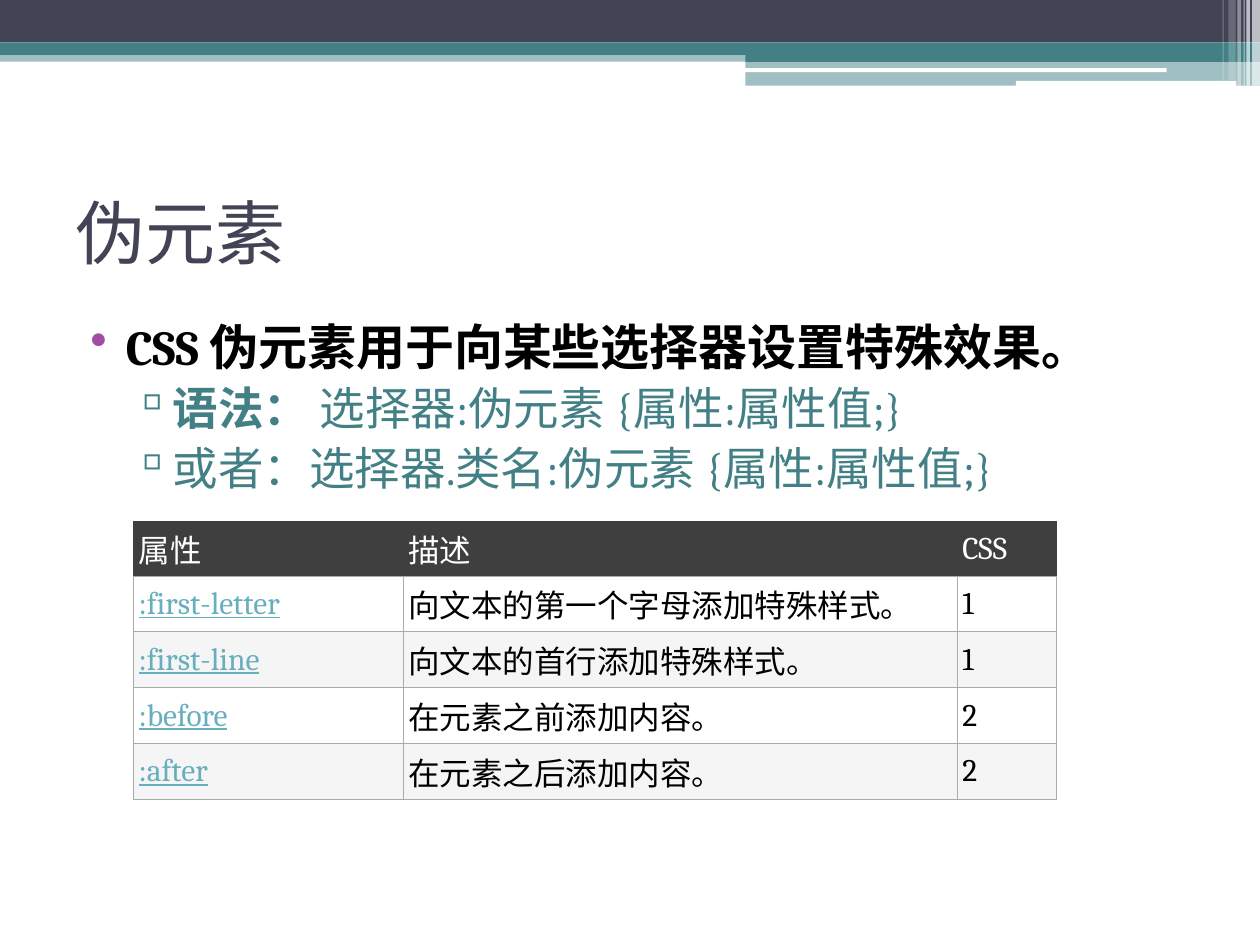
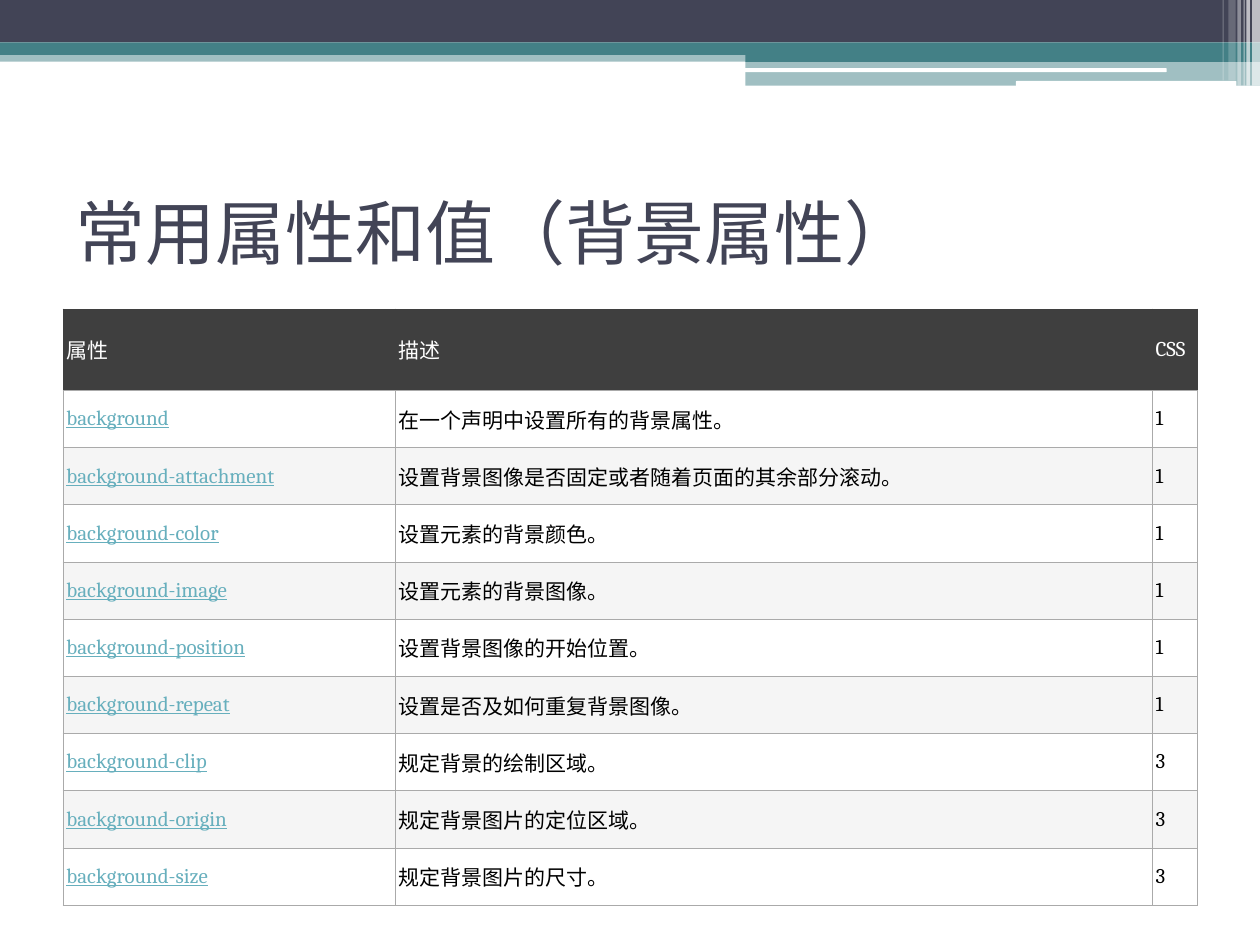
from lxml import etree
from pptx import Presentation
from pptx import util as u
from pptx.dml.color import RGBColor
from pptx.enum import shapes, text
from pptx.oxml.ns import qn

COLORS = {
    "ink": "424456", "teal": "438086", "white": "FFFFFF", "black": "000000",
    "bullet": "A04DA3", "link": "67AFBD", "header": "3F3F3F",
    "stripe": "F5F5F5", "border": "AAAAAA",
}
TITLE_FONT, BODY_FONT = "Open Sans", "Cambria"
TITLE_BOX = (36, 90, 648, 84.2)

# left, top, width, height, colour, opacity in percent
BANDS = [
    (0, 28.8, 720, 6.5, "teal", 50),
    (0, 0, 720, 24.2, "ink", 100),
    (0, 24.2, 720, 7.2, "teal", 100),
    (426, 28.2, 294, 7.2, "teal", 100),
    (426, 35.2, 294, 13.7, "teal", 50),
]
ROUNDED_LINES = [
    (425.5, 39, 241.2, 2.2, "white", 100),
    (580.5, 46.3, 126, 2.9, "white", 100),
]
# left, width, height, opacity of the vertical stripes in the corner
CORNER_STRIPES = [
    (715.5, 4.5, 49, 65), (712.2, 2.0, 49, 65), (710.6, 0.7, 49, 60),
    (707.1, 2.0, 49, 40), (701.9, 4.3, 46, 20), (698.6, 0.7, 46, 30),
]


class Deck:
    """Holds the shared style and the slide being built."""

    def __init__(self):
        """Start an empty 10 by 7.5 inch presentation."""
        self.presentation = Presentation()
        self.presentation.slide_width = u.Pt(720)
        self.presentation.slide_height = u.Pt(540)
        self.slide = None

    def color(self, name):
        """Return a named colour."""
        return RGBColor.from_string(COLORS[name])

    def format_run(self, run, size, color, font=BODY_FONT, bold=False, underline=False):
        """Set the font of one run."""
        run.font.name = font
        run.font.size = u.Pt(size)
        run.font.bold = bold
        run.font.underline = underline
        run.font.color.rgb = self.color(color)

    def add_slide(self, title):
        """Add a slide with the title and the bands at its top."""
        self.slide = self.presentation.slides.add_slide(self.presentation.slide_layouts[5])
        shape = self.slide.shapes.title
        shape.left, shape.top, shape.width, shape.height = map(u.Pt, TITLE_BOX)
        frame = shape.text_frame
        frame.text = title
        frame.vertical_anchor = text.MSO_ANCHOR.MIDDLE
        frame.paragraphs[0].alignment = text.PP_ALIGN.LEFT
        self.format_run(frame.paragraphs[0].runs[0], 40, "ink", TITLE_FONT)
        for band in BANDS:
            self.add_block(*band)
        for line in ROUNDED_LINES:
            self.add_block(*line, kind=shapes.MSO_SHAPE.ROUNDED_RECTANGLE)
        for left, width, height, opacity in CORNER_STRIPES:
            self.add_block(left, 0, width, height, "white", opacity)

    def add_block(self, left, top, width, height, color, opacity,
                  kind=shapes.MSO_SHAPE.RECTANGLE):
        """Add a filled shape without outline."""
        box = map(u.Pt, (left, top, width, height))
        shape = self.slide.shapes.add_shape(kind, *box)
        shape.shadow.inherit = False
        shape.line.fill.background()
        shape.fill.solid()
        shape.fill.fore_color.rgb = self.color(color)
        if opacity < 100:
            fill_color = shape.fill._xPr.find(".//" + qn("a:srgbClr"))
            etree.SubElement(fill_color, qn("a:alpha")).set("val", str(opacity * 1000))

    def add_bullets(self, box, items):
        """Add bulleted lines; an item is a level and its (text, bold) parts."""
        # bullet, bullet colour, text colour, size, left margin, hanging indent
        levels = [("•", "bullet", "black", 28, 28.8, -20.2),
                  ("▫", "teal", "teal", 26, 51.8, -19.4)]
        frame = self.slide.shapes.add_textbox(*map(u.Pt, box)).text_frame
        frame.word_wrap = True
        for index, (level, parts) in enumerate(items):
            bullet, bullet_color, color, size, margin, indent = levels[level]
            paragraph = frame.add_paragraph() if index else frame.paragraphs[0]
            paragraph.level = level
            paragraph.space_before = u.Pt(3)
            properties = paragraph._p.get_or_add_pPr()
            properties.set("marL", str(u.Pt(margin)))
            properties.set("indent", str(u.Pt(indent)))
            holder = etree.SubElement(properties, qn("a:buClr"))
            etree.SubElement(holder, qn("a:srgbClr")).set("val", COLORS[bullet_color])
            etree.SubElement(properties, qn("a:buChar")).set("char", bullet)
            for words, bold in parts:
                run = paragraph.add_run()
                run.text = words
                self.format_run(run, size, color, bold=bold)

    def add_cell_borders(self, cell, side_color):
        """Draw thin borders; the lower one is always grey."""
        properties = cell._tc.get_or_add_tcPr()
        for side in ("lnL", "lnR", "lnT", "lnB"):
            color = "border" if side == "lnB" else side_color
            line = etree.SubElement(properties, qn("a:" + side), w=str(u.Pt(0.5)))
            fill = etree.SubElement(line, qn("a:solidFill"))
            etree.SubElement(fill, qn("a:srgbClr")).set("val", COLORS[color])

    def add_table(self, left, top, widths, header_height, row_height, size, insets, rows):
        """Add a property table; insets are left, right, header and body padding."""
        rows = [("属性", "描述", "CSS")] + rows
        heights = [header_height] + [row_height] * (len(rows) - 1)
        box = map(u.Pt, (left, top, sum(widths), sum(heights)))
        table = self.slide.shapes.add_table(len(rows), len(widths), *box).table
        table.first_row = table.horz_banding = False
        for column, width in zip(table.columns, widths):
            column.width = u.Pt(width)
        inset_left, inset_right, header_inset, body_inset = insets
        for row_index, values in enumerate(rows):
            table.rows[row_index].height = u.Pt(heights[row_index])
            is_header = row_index == 0
            background = "header" if is_header else ("stripe", "white")[row_index % 2]
            padding = header_inset if is_header else body_inset
            for column_index, value in enumerate(values):
                cell = table.cell(row_index, column_index)
                cell.text = value
                cell.vertical_anchor = text.MSO_ANCHOR.MIDDLE
                cell.margin_left, cell.margin_right = u.Pt(inset_left), u.Pt(inset_right)
                cell.margin_top = cell.margin_bottom = u.Pt(padding)
                self.add_cell_borders(cell, "header" if is_header else "border")
                cell.fill.solid()
                cell.fill.fore_color.rgb = self.color(background)
                is_link = column_index == 0 and not is_header
                color = "white" if is_header else "link" if is_link else "black"
                self.format_run(cell.text_frame.paragraphs[0].runs[0], size, color,
                                underline=is_link)


deck = Deck()

deck.add_slide("伪元素")
deck.add_bullets((36, 177.1, 648, 340.6), [
    (0, [("CSS 伪元素用于向某些选择器设置特殊效果。", True)]),
    (1, [("语法： ", True), ("选择器:伪元素 {属性:属性值;}", False)]),
    (1, [("或者：选择器.类名:伪元素 {属性:属性值;}", False)]),
])
deck.add_table(76.2, 298.2, (154.2, 316.6, 56.6), 30.9, 32, 18, (3, 7.2, 2.3, 3), [
    (":first-letter", "向文本的第一个字母添加特殊样式。", "1"),
    (":first-line", "向文本的首行添加特殊样式。", "1"),
    (":before", "在元素之前添加内容。", "2"),
    (":after", "在元素之后添加内容。", "2"),
])

deck.add_slide("常用属性和值（背景属性）")
deck.add_table(36, 176.6, (189.8, 432.6, 25.6), 46.5, 32.7, 12, (2, 5, 1.5, 2), [
    ("background", "在一个声明中设置所有的背景属性。", "1"),
    ("background-attachment", "设置背景图像是否固定或者随着页面的其余部分滚动。", "1"),
    ("background-color", "设置元素的背景颜色。", "1"),
    ("background-image", "设置元素的背景图像。", "1"),
    ("background-position", "设置背景图像的开始位置。", "1"),
    ("background-repeat", "设置是否及如何重复背景图像。", "1"),
    ("background-clip", "规定背景的绘制区域。", "3"),
    ("background-origin", "规定背景图片的定位区域。", "3"),
    ("background-size", "规定背景图片的尺寸。", "3"),
])

deck.presentation.save("out.pptx")
